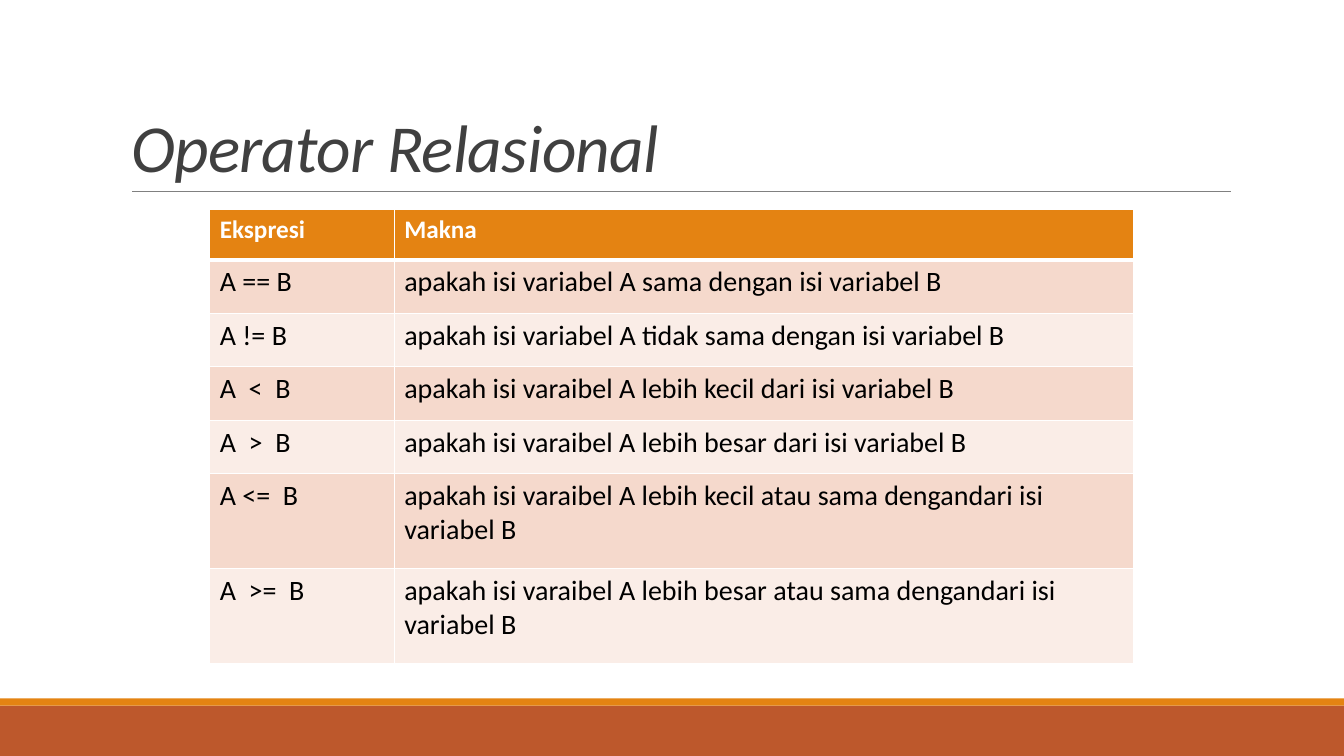
import pptx
import pptx.dml.color
import pptx.enum.shapes
import pptx.enum.text
import pptx.oxml.ns
import pptx.util
from lxml import etree

Inches = pptx.util.Inches
Pt = pptx.util.Pt
qn = pptx.oxml.ns.qn

ROWS = [
    ("Ekspresi", "Makna"),
    ("A == B", "apakah isi variabel A sama dengan isi variabel B"),
    ("A != B", "apakah isi variabel A tidak sama dengan isi variabel B"),
    ("A  <  B", "apakah isi varaibel A lebih kecil dari isi variabel B"),
    ("A  >  B", "apakah isi varaibel A lebih besar dari isi variabel B"),
    ("A <=  B", "apakah isi varaibel A lebih kecil atau sama dengandari isi variabel B"),
    ("A  >=  B", "apakah isi varaibel A lebih besar atau sama dengandari isi variabel B"),
]
COL_WIDTHS = [1.83, 7.33]
ROW_HEIGHTS = [0.5] + [0.53] * 4 + [0.94] * 2


def rgb(value):
    return pptx.dml.color.RGBColor.from_string(value)


def write(tf, text, size, color, font="Calibri", bold=False, italic=False,
          line_spacing=None, char_spacing=None):
    p = tf.paragraphs[0]
    p.line_spacing = line_spacing
    r = p.add_run()
    r.text = text
    r.font.name = font
    r.font.size = Pt(size)
    r.font.bold = bold
    r.font.italic = italic
    r.font.color.rgb = rgb(color)
    if char_spacing is not None:
        r.font._element.set("spc", str(int(char_spacing * 100)))


class SlideBuilder:
    """Draw styled elements on the current slide."""

    accent = "E48312"
    base = "BD582C"
    rule = "808080"
    title_color = "404040"
    bands = ("F5D9CC", "FAEDE7")

    def __init__(self, prs):
        self.s = prs.slides.add_slide(prs.slide_layouts[5])

    def bar(self, x, y, w, h, color):
        sp = self.s.shapes.add_shape(
            pptx.enum.shapes.MSO_SHAPE.RECTANGLE,
            Inches(x), Inches(y), Inches(w), Inches(h))
        sp.shadow.inherit = False
        sp.fill.solid()
        sp.fill.fore_color.rgb = rgb(color)
        sp.line.fill.background()

    def line(self, x1, y1, x2, y2, width):
        cx = self.s.shapes.add_connector(
            pptx.enum.shapes.MSO_CONNECTOR.STRAIGHT,
            Inches(x1), Inches(y1), Inches(x2), Inches(y2))
        cx.line.color.rgb = rgb(self.rule)
        cx.line.width = Pt(width)
        etree.SubElement(cx._element.spPr, qn("a:effectLst"))

    def title(self, text, x, y, w, h):
        sp = self.s.shapes.title
        sp.left, sp.top, sp.width, sp.height = map(Inches, (x, y, w, h))
        tf = sp.text_frame
        tf.word_wrap = True
        tf.vertical_anchor = pptx.enum.text.MSO_ANCHOR.BOTTOM
        write(tf, text, 48, self.title_color, italic=True,
              line_spacing=0.85, char_spacing=-0.5)
        tf.paragraphs[0].alignment = pptx.enum.text.PP_ALIGN.LEFT

    def border(self, cell, side, width):
        ln = etree.SubElement(cell._tc.get_or_add_tcPr(), qn("a:ln" + side),
                              w=str(Pt(width)))
        fill = etree.SubElement(ln, qn("a:solidFill"))
        etree.SubElement(fill, qn("a:srgbClr"), val="FFFFFF")

    def table(self, rows, x, y, widths, heights):
        table = self.s.shapes.add_table(
            len(rows), len(widths), Inches(x), Inches(y),
            Inches(sum(widths)), Inches(sum(heights))).table
        for column, width in zip(table.columns, widths):
            column.width = Inches(width)
        for i, (texts, height) in enumerate(zip(rows, heights)):
            table.rows[i].height = Inches(height)
            header = i == 0
            for cell, text in zip(table.rows[i].cells, texts):
                for side in "LRTB":
                    thick = (i, side) in ((0, "B"), (1, "T"))
                    self.border(cell, side, 3 if thick else 1)
                cell.fill.solid()
                cell.fill.fore_color.rgb = rgb(
                    self.accent if header else self.bands[(i - 1) % 2])
                write(cell.text_frame, text, 18 if header else 20,
                      "FFFFFF" if header else "000000", bold=header)


def main():
    prs = pptx.Presentation()
    prs.slide_width = Inches(13.33)
    prs.slide_height = Inches(7.5)
    b = SlideBuilder(prs)
    b.bar(0, 7, 13.33, 0.5, b.base)
    b.bar(0, 6.93, 13.33, 0.07, b.accent)
    b.line(1.31, 1.9, 12.21, 1.9, 0.5)
    b.title("Operator Relasional", 1.2, 0.31, 11, 1.59)
    b.table(ROWS, 2.08, 2.08, COL_WIDTHS, ROW_HEIGHTS)
    prs.save("out.pptx")


if __name__ == "__main__":
    main()
